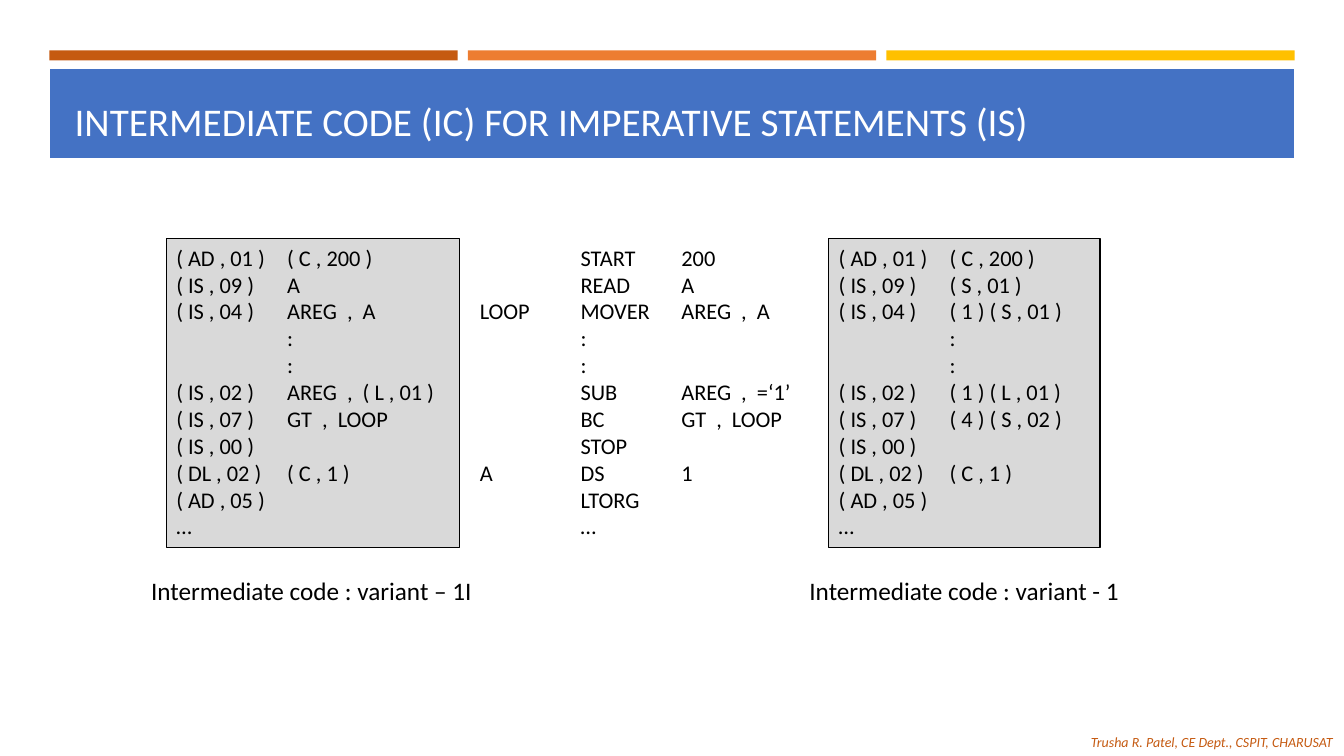
from lxml.etree import SubElement as Sub
from pptx import Presentation
from pptx.dml.color import RGBColor
from pptx.enum.shapes import MSO_SHAPE as Shape
from pptx.enum.text import MSO_ANCHOR as Anchor, MSO_AUTO_SIZE as Auto, PP_ALIGN as Align
from pptx.oxml.ns import qn
from pptx.util import Inches, Pt

WHITE = RGBColor(0xFF, 0xFF, 0xFF)
BLACK = RGBColor(0x00, 0x00, 0x00)
BLUE = RGBColor(0x44, 0x72, 0xC4)
RUST = RGBColor(0xC5, 0x5A, 0x11)
ORANGE = RGBColor(0xED, 0x7D, 0x31)
GOLD = RGBColor(0xFF, 0xC0, 0x00)
GREY = RGBColor(0xD9, 0xD9, 0xD9)


def add_rect(area, fill, line=None, width=0):
    rect = slide.shapes.add_shape(Shape.RECTANGLE, *map(Inches, area))
    rect.shadow.inherit = False
    rect.fill.solid()
    rect.fill.fore_color.rgb = fill
    if line is None:
        rect.line.fill.background()
    else:
        rect.line.color.rgb = line
        rect.line.width = Pt(width)
    return rect


def write(shape, lines, size, color=BLACK, anchor=Anchor.TOP, tabs=(), italic=False):
    frame = shape.text_frame
    frame.word_wrap = True
    frame.auto_size = Auto.NONE
    frame.vertical_anchor = anchor
    style = {"name": "Calibri", "size": Pt(size), "italic": italic}
    for i, line in enumerate(lines):
        para = frame.paragraphs[0] if i == 0 else frame.add_paragraph()
        para.alignment = Align.LEFT
        if tabs:
            stops = Sub(para._p.get_or_add_pPr(), qn("a:tabLst"))
            for stop in tabs:
                Sub(stops, qn("a:tab"), pos=str(Inches(stop)), algn="l")
        run = para.add_run()
        run.text = line
        for key, value in style.items():
            setattr(run.font, key, value)
        run.font.color.rgb = color


deck = Presentation()
deck.slide_width, deck.slide_height = Inches(13.33), Inches(7.5)
slide = deck.slides.add_slide(deck.slide_layouts[5])

add_rect((0.48, 0.67, 12.37, 0.91), BLUE, WHITE, 2)
for i, color in enumerate((RUST, ORANGE, GOLD)):
    add_rect((0.49 + i * 4.15, 0.5, 4.05, 0.1), color)

title = slide.shapes.title
title.left, title.top, title.width, title.height = map(Inches, (0.64, 0.77, 12.06, 0.71))
write(title, ["INTERMEDIATE CODE (IC) FOR IMPERATIVE STATEMENTS (IS)"], 28, WHITE, Anchor.BOTTOM)
slide.shapes._spTree.append(title._element)

source = [
    "\tSTART\t200",
    "\tREAD\tA",
    "LOOP\tMOVER\tAREG  ,  A",
    "\t:",
    "\t:",
    "\tSUB\tAREG  ,  =‘1’",
    "\tBC\tGT  ,  LOOP",
    "\tSTOP",
    "A\tDS\t1",
    "\tLTORG",
    "\t…",
]
code = slide.shapes.add_textbox(*map(Inches, (4.66, 2.37, 3.41, 3.06)))
write(code, source, 16, tabs=(1, 2))

ops = ["( AD , 01 )", "( IS , 09 )", "( IS , 04 )", "", "", "( IS , 02 )",
       "( IS , 07 )", "( IS , 00 )", "( DL , 02 )", "( AD , 05 )", "…"]
first = ["( C , 200 )", "( S , 01 )", "( 1 ) ( S , 01 )", ":", ":", "( 1 ) ( L , 01 )",
         "( 4 ) ( S , 02 )", "", "( C , 1 )", "", ""]
second = ["( C , 200 )", "A", "AREG  ,  A", ":", ":", "AREG  ,  ( L , 01 )",
          "GT  ,  LOOP", "", "( C , 1 )", "", ""]
panels = [
    (8.22, 2.69, first, 7.93, "Intermediate code : variant - 1"),
    (1.65, 2.91, second, 1.4, "Intermediate code : variant – 1I"),
]
for left, width, args, edge, label in panels:
    panel = add_rect((left, 2.37, width, 3.06), GREY, BLACK, 0.75)
    rows = [f"{op}\t{arg}" if arg else op for op, arg in zip(ops, args)]
    write(panel, rows, 16, tabs=(1.1,))
    note = slide.shapes.add_textbox(*map(Inches, (edge, 5.66, 3.43, 0.4)))
    write(note, [label], 18)

credit = slide.shapes.add_textbox(*map(Inches, (10.72, 7.23, 2.61, 0.27)))
write(credit, ["Trusha R. Patel, CE Dept., CSPIT, CHARUSAT"], 10, RUST, italic=True)

deck.save("out.pptx")
